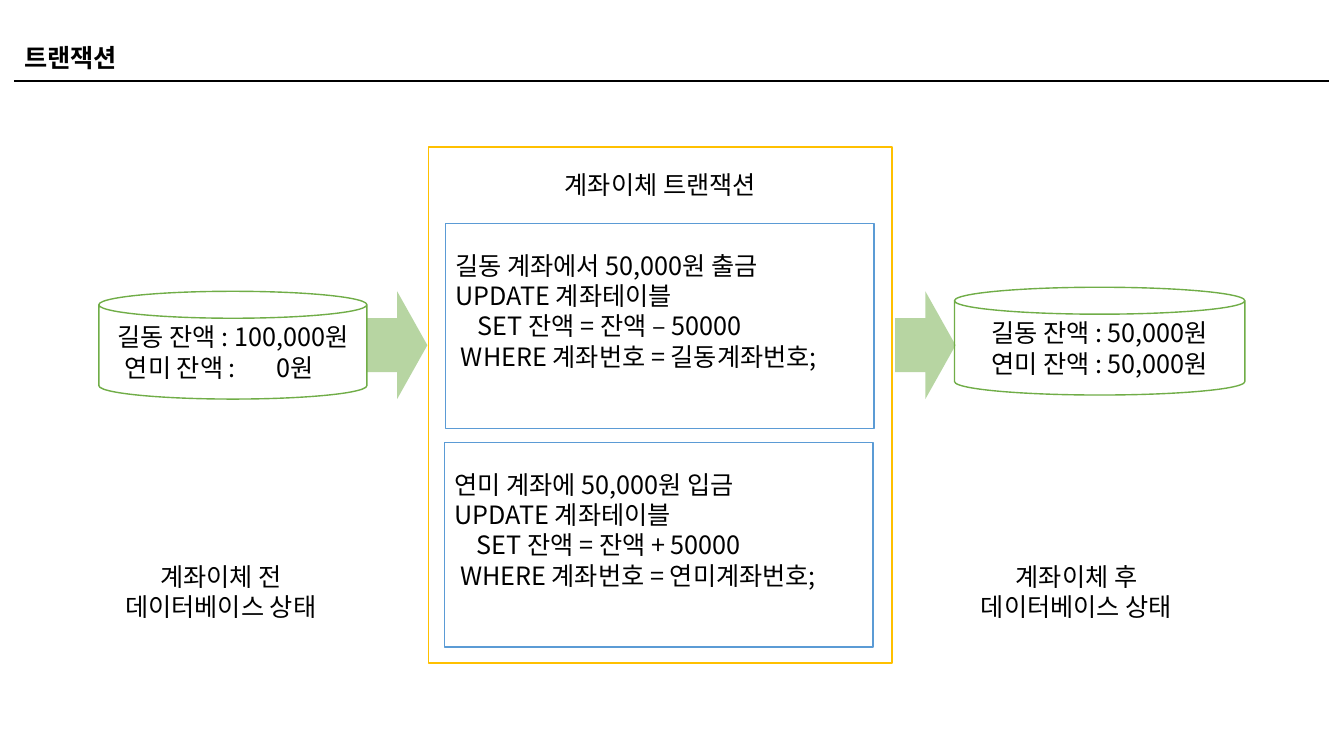
from lxml import etree
from pptx import Presentation
from pptx import util as u
from pptx.dml.color import RGBColor
from pptx.enum import shapes, text
from pptx.oxml.ns import qn

Pt = u.Pt
BLACK = RGBColor(0x00, 0x00, 0x00)
WHITE = RGBColor(0xFF, 0xFF, 0xFF)
GREEN = RGBColor(0x70, 0xAD, 0x47)
GOLD = RGBColor(0xFF, 0xC0, 0x00)
BLUE = RGBColor(0x5B, 0x9B, 0xD5)
KIND = shapes.MSO_SHAPE
ALIGN = text.PP_ALIGN
ANCHOR = text.MSO_ANCHOR


class Builder:
    font = "Noto Sans CJK KR"
    size = Pt(18)

    def __init__(self, s):
        self.s = s

    def style_paragraph(self, p, align=ALIGN.LEFT, bold=False, indent=0, tab=None):
        p.alignment = align
        p.font.size = self.size
        p.font.bold = bold
        p.font.color.rgb = BLACK
        p.font.name = self.font
        pPr = p._p.get_or_add_pPr()
        pPr.set("marL", str(Pt(indent)))
        pPr.set("indent", "0")
        defaults = pPr.find(qn("a:defRPr"))
        etree.SubElement(defaults, qn("a:ea"), typeface=self.font)
        if tab:
            stops = etree.Element(qn("a:tabLst"))
            etree.SubElement(stops, qn("a:tab"), pos=str(Pt(tab)), algn="l")
            defaults.addprevious(stops)

    def fill_text(self, tf, lines, **style):
        for i, line in enumerate(lines):
            words, extra = line if isinstance(line, tuple) else (line, {})
            p = tf.paragraphs[0] if i == 0 else tf.add_paragraph()
            p.add_run().text = words
            self.style_paragraph(p, **{**style, **extra})

    def title(self, words, *box):
        sp = self.s.shapes.title
        sp.left, sp.top, sp.width, sp.height = map(Pt, box)
        tf = sp.text_frame
        tf.auto_size = text.MSO_AUTO_SIZE.NONE
        tf.vertical_anchor = ANCHOR.TOP
        self.fill_text(tf, [words], bold=True)
        tf.paragraphs[0].line_spacing = 1.0

    def rule(self, x1, y1, x2, y2):
        line = self.s.shapes.add_connector(
            shapes.MSO_CONNECTOR.STRAIGHT, Pt(x1), Pt(y1), Pt(x2), Pt(y2))
        line.line.color.rgb = BLACK
        line.line.width = Pt(1.5)
        etree.SubElement(line._element.spPr, qn("a:effectLst"))

    def label(self, lines, *box, spacing=1.0):
        tf = self.s.shapes.add_textbox(*map(Pt, box)).text_frame
        tf.word_wrap = True
        tf.auto_size = text.MSO_AUTO_SIZE.SHAPE_TO_FIT_TEXT
        self.fill_text(tf, lines, align=ALIGN.CENTER)
        for p in tf.paragraphs:
            p.line_spacing = spacing

    def shape(self, kind, color, *box):
        sp = self.s.shapes.add_shape(kind, *map(Pt, box))
        sp.shadow.inherit = False
        sp.fill.solid()
        sp.fill.fore_color.rgb = WHITE
        sp.line.color.rgb = color
        sp.line.width = Pt(1)
        sp.text_frame.vertical_anchor = ANCHOR.MIDDLE
        return sp

    def database(self, lines, *box):
        sp = self.shape(KIND.CAN, GREEN, *box)
        self.fill_text(sp.text_frame, lines, align=ALIGN.CENTER)

    def query(self, lines, *box):
        sp = self.shape(KIND.RECTANGLE, BLUE, *box)
        sp.text_frame.margin_bottom = Pt(25.3)
        self.fill_text(sp.text_frame, lines)

    def arrow(self, *box):
        sp = self.shape(KIND.RIGHT_ARROW, GREEN, *box)
        sp.fill.fore_color.rgb = GREEN
        sp.line.fill.background()
        color = sp._element.spPr.find(qn("a:solidFill")).find(qn("a:srgbClr"))
        etree.SubElement(color, qn("a:alpha"), val="50000")


def main():
    prs = Presentation()
    prs.slide_width, prs.slide_height = Pt(960), Pt(540)
    b = Builder(prs.slides.add_slide(prs.slide_layouts[5]))

    b.title("트랜잭션", 10.1, 26.6, 938.9, 28.8)
    b.rule(10.1, 57.6, 949, 57.6)

    b.database(["길동 잔액 : 100,000원",
                ("연미 잔액 :\t0원",
                 {"align": ALIGN.LEFT, "indent": 11.5, "tab": 133.7})],
               70.6, 208.1, 191.5, 77)
    b.database([f"{owner} 잔액 : 50,000원" for owner in ("길동", "연미")],
               681.8, 205.2, 207.4, 77)

    for left, moment in ((70.6, "전"), (681.8, "후")):
        b.label([f"계좌이체 {moment}", "데이터베이스 상태"],
                left, 397.4, 174.2, 51)

    b.shape(KIND.RECTANGLE, GOLD, 306, 105.1, 331.2, 368.6)
    b.label(["계좌이체 트랜잭션"], 306, 106.6, 331.2, 36, spacing=1.5)

    steps = (
        (318.2, 159.8, "길동", "에서", "출금", "–"),
        (317.5, 316.1, "연미", "에", "입금", "+"),
    )
    for left, top, owner, particle, action, sign in steps:
        b.query([f"{owner} 계좌{particle} 50,000원 {action}",
                 "UPDATE 계좌테이블",
                 (f"SET 잔액 = 잔액 {sign} 50000", {"indent": 16}),
                 (f"WHERE 계좌번호 = {owner}계좌번호;", {"indent": 4})],
                left, top, 306, 146.2)

    for left in (262.1, 639.4):
        b.arrow(left, 208.1, 43.2, 77)

    prs.save("out.pptx")


if __name__ == "__main__":
    main()
